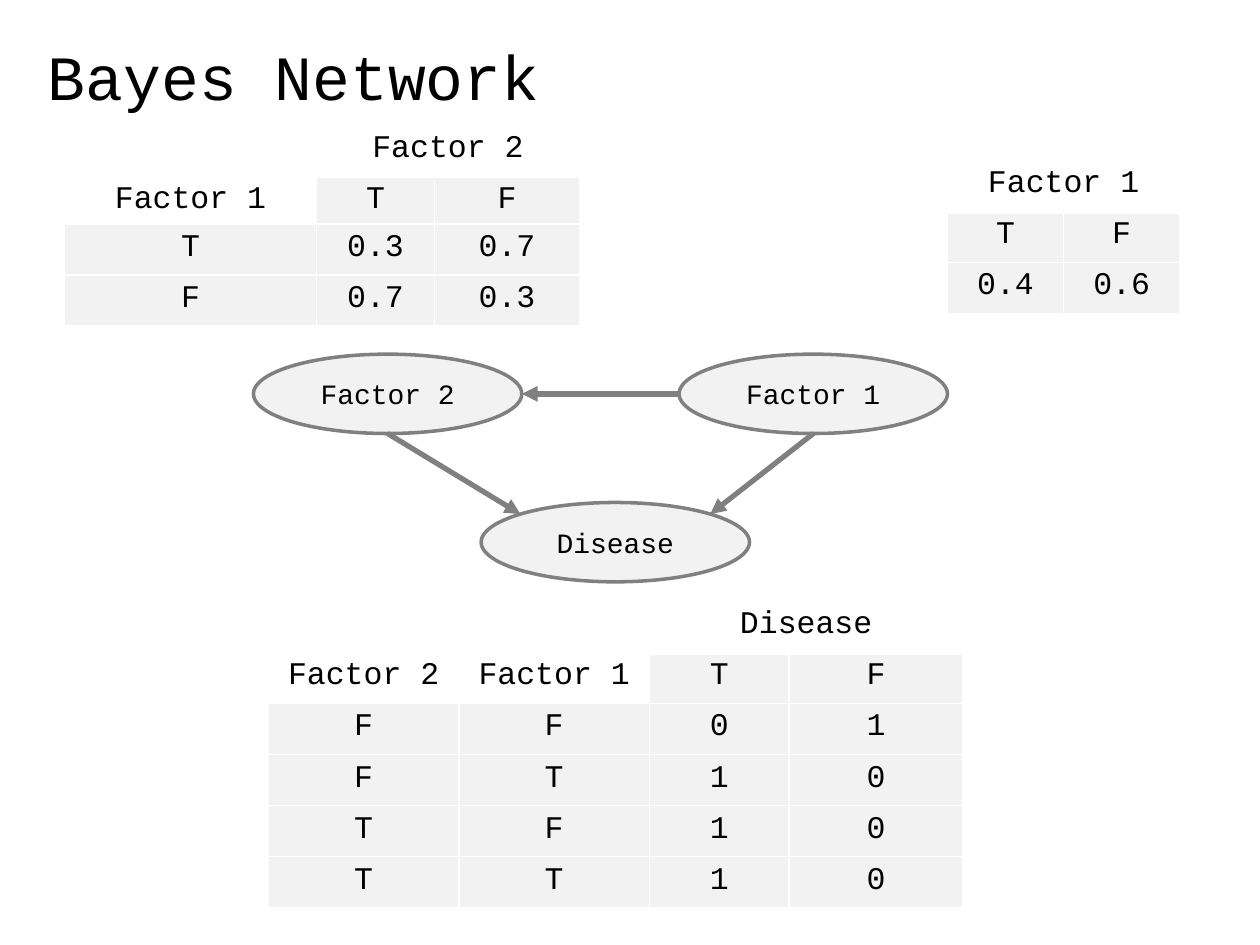
from math import cos, radians, sin

from lxml.etree import SubElement
from pptx import Presentation
from pptx.dml.color import RGBColor
from pptx.enum.shapes import MSO_CONNECTOR, MSO_SHAPE
from pptx.enum.text import MSO_ANCHOR, PP_ALIGN
from pptx.oxml.ns import qn
from pptx.util import Cm, Pt

FONT = "Courier New"
COLORS = {"text": "000000", "panel": "F2F2F2", "edge": "808080", "grid": "FFFFFF"}

TITLE = "Bayes Network"
NODE_SIZE = (5.41, 1.6)
NODES = {  # name: left, top
    "Factor 2": (5.11, 7.14),
    "Factor 1": (13.69, 7.14),
    "Disease": (9.7, 10.13),
}
# Connection sites run counterclockwise from the top in steps of 45 degrees
SITES = {"top left": 1, "left": 2, "bottom": 4, "right": 6, "top right": 7}
ARROWS = [
    ("Factor 1", "left", "Factor 2", "right"),
    ("Factor 1", "bottom", "Disease", "top right"),
    ("Factor 2", "bottom", "Disease", "top left"),
]

ROW = 1.03
TABLES = [
    {
        "at": (18.11, 3.23),
        "columns": (0.99, 2.34, 2.34),
        "rows": (ROW,) * 3,
        "cells": [("", "Factor 1", ""), ("", "T", "F"), ("", "0.4", "0.6")],
    },
    {
        "at": (1.3, 2.51),
        "columns": (5.08, 2.38, 2.92),
        "rows": (ROW, 0.96, ROW, ROW),
        "cells": [
            ("", "Factor 2", ""),
            ("Factor 1", "T", "F"),
            ("T", "0.3", "0.7"),
            ("F", "0.7", "0.3"),
        ],
    },
    {
        "at": (5.41, 12.12),
        "columns": (3.84, 3.84, 2.82, 3.5),
        "rows": (ROW,) * 6,
        "cells": [
            ("", "", "Disease", ""),
            ("Factor 2", "Factor 1", "T", "F"),
            ("F", "F", "0", "1"),
            ("F", "T", "1", "0"),
            ("T", "F", "1", "0"),
            ("T", "T", "1", "0"),
        ],
    },
]


def color(key):
    """Return the named colour."""
    return RGBColor.from_string(COLORS[key])


def write(frame, text, size, align):
    """Put one formatted paragraph into a text frame."""
    frame.text = text
    paragraph = frame.paragraphs[0]
    paragraph.alignment = align
    paragraph.font.size = Pt(size)
    paragraph.font.name = FONT
    paragraph.font.color.rgb = color("text")


def add_node(slide, name, left, top):
    """Draw one variable of the network."""
    node = slide.shapes.add_shape(
        MSO_SHAPE.OVAL, Cm(left), Cm(top), *map(Cm, NODE_SIZE))
    node.shadow.inherit = False
    node.fill.solid()
    node.fill.fore_color.rgb = color("panel")
    node.line.color.rgb = color("edge")
    node.line.width = Pt(2)
    node.text_frame.vertical_anchor = MSO_ANCHOR.MIDDLE
    write(node.text_frame, name, 16, PP_ALIGN.CENTER)
    return node


def site_point(node, site):
    """Find a connection site on the rim of an oval."""
    angle = radians(90 + 45 * site)
    return (round(node.left + node.width / 2 * (1 + cos(angle))),
            round(node.top + node.height / 2 * (1 - sin(angle))))


def add_arrow(slide, start, start_site, end, end_site):
    """Join two nodes with an attached arrow."""
    arrow = slide.shapes.add_connector(
        MSO_CONNECTOR.STRAIGHT,
        *site_point(start, start_site), *site_point(end, end_site))
    arrow.line.color.rgb = color("edge")
    arrow.line.width = Pt(3)
    SubElement(arrow.line._get_or_add_ln(), qn("a:tailEnd"), type="triangle")
    SubElement(arrow._element.spPr, qn("a:effectLst"))
    joints = arrow._element.nvCxnSpPr.cNvCxnSpPr
    for tag, node, site in (("a:stCxn", start, start_site), ("a:endCxn", end, end_site)):
        SubElement(joints, qn(tag), id=str(node.shape_id), idx=str(site))


def add_borders(cell, bottom_width):
    """Rule the four sides of a cell."""
    properties = cell._tc.get_or_add_tcPr()
    for side, width in (("L", 1), ("R", 1), ("T", 1), ("B", bottom_width)):
        border = SubElement(properties, qn(f"a:ln{side}"), w=str(Pt(width)))
        fill = SubElement(border, qn("a:solidFill"))
        SubElement(fill, qn("a:srgbClr"), val=COLORS["grid"])


def add_probabilities(slide, at, columns, rows, cells):
    """Build one probability table."""
    table = slide.shapes.add_table(
        len(rows), len(columns), *map(Cm, at), Cm(sum(columns)), Cm(sum(rows))).table
    table.first_row = table.horz_banding = False
    for column, width in zip(table.columns, columns):
        column.width = Cm(width)
    for row, height in zip(table.rows, rows):
        row.height = Cm(height)
    for r, texts in enumerate(cells):
        for c, text in enumerate(texts):
            cell = table.cell(r, c)
            add_borders(cell, 3 if r == 0 else 1)
            if text and text not in NODES:
                cell.fill.solid()
                cell.fill.fore_color.rgb = color("panel")
            else:
                cell.fill.background()
            write(cell.text_frame, text, 18, PP_ALIGN.CENTER)
    last = len(columns) - 1
    table.cell(0, last - 1).merge(table.cell(0, last))


presentation = Presentation()
presentation.slide_width, presentation.slide_height = Cm(25.4), Cm(19.05)
slide = presentation.slides.add_slide(presentation.slide_layouts[5])

title = slide.shapes.title
title.left, title.top, title.width, title.height = map(Cm, (0.71, 0.53, 23.8, 1.96))
title.text_frame.vertical_anchor = MSO_ANCHOR.MIDDLE
write(title.text_frame, TITLE, 36, PP_ALIGN.LEFT)

nodes = {name: add_node(slide, name, *at) for name, at in NODES.items()}
for start, start_site, end, end_site in ARROWS:
    add_arrow(slide, nodes[start], SITES[start_site], nodes[end], SITES[end_site])
for probabilities in TABLES:
    add_probabilities(slide, **probabilities)

presentation.save("out.pptx")
